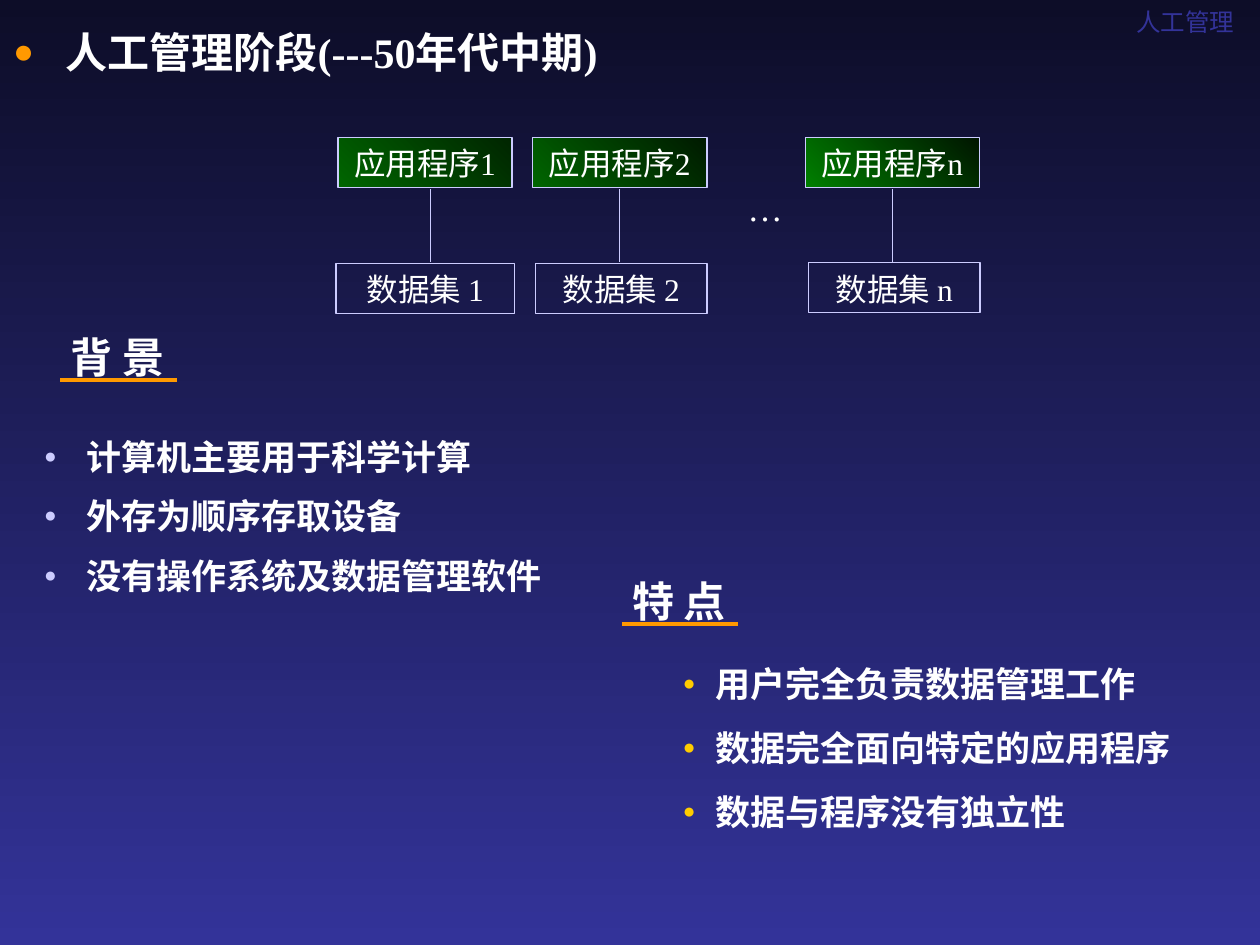
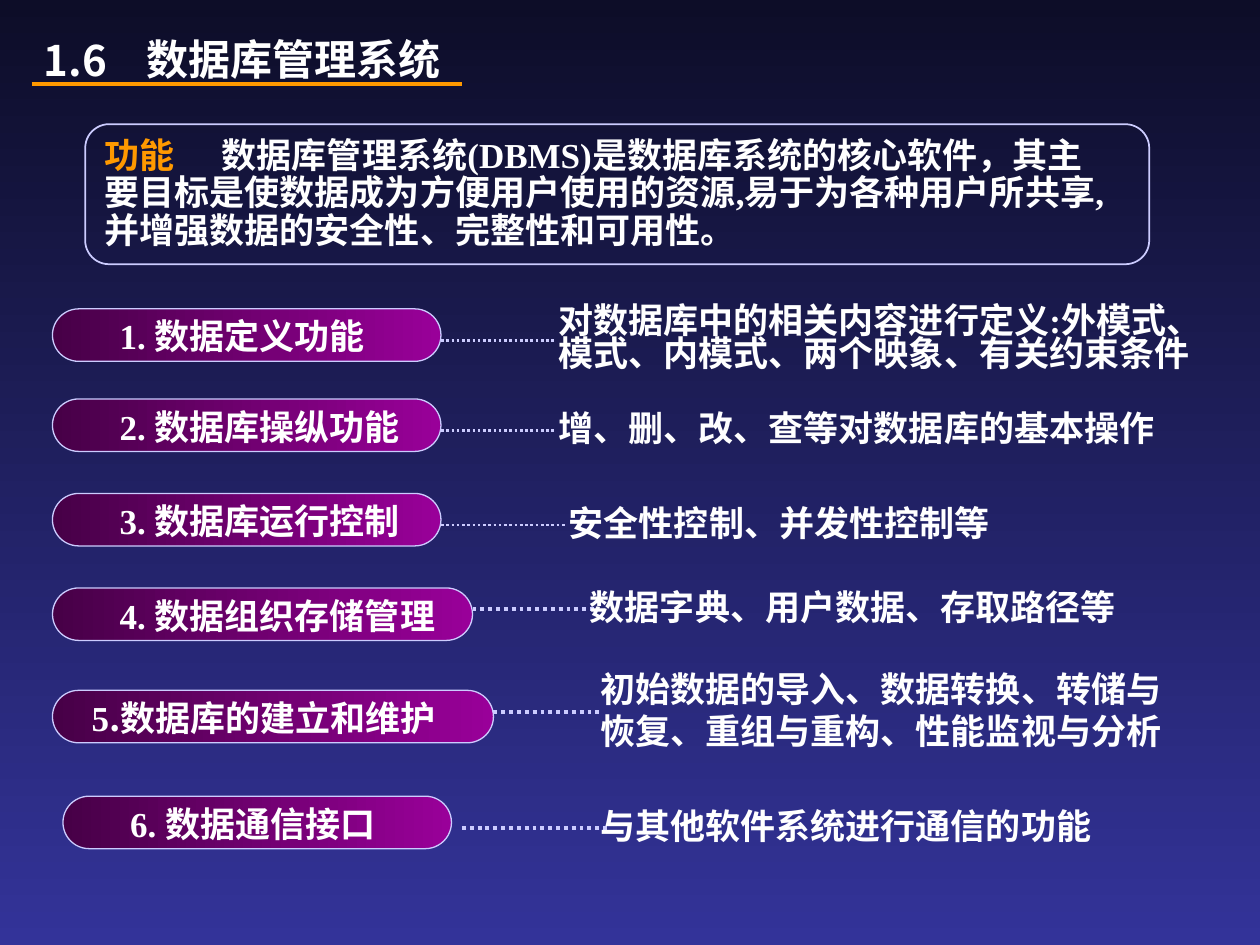
from lxml.etree import SubElement as Sub
from pptx import Presentation
from pptx.dml.color import RGBColor as RGB
from pptx.enum.dml import MSO_LINE as Dash
from pptx.enum.shapes import MSO_CONNECTOR as Conn, MSO_SHAPE as Kind
from pptx.enum.text import MSO_ANCHOR as Anchor, MSO_AUTO_SIZE as Auto, PP_ALIGN as Align
from pptx.oxml.ns import qn
from pptx.util import Pt

HUES = {
    "white": "FFFFFF", "orange": "FF9900", "gold": "FFCC00", "lilac": "CCCCFF",
    "night": "0D0D28", "blue": "333399", "plum": "470047", "purple": "990099",
}
SERIF, SANS, ARIAL = "Times New Roman", "Noto Sans CJK SC", "Arial"
LEAD = 1.25  # line height as a multiple of the text size


def hue(name):
    return RGB.from_string(HUES.get(name, name))


def blend(fill, first, last, angle):
    fill.gradient()
    fill.gradient_angle = angle
    for stop, name in zip(fill.gradient_stops, (first, last)):
        stop.color.rgb = hue(name)


def dot(para, color, percent, margin, hang):
    """Give a paragraph a round bullet with a hanging indent."""
    props = para._p.get_or_add_pPr()
    props.set("marL", str(Pt(margin)))
    props.set("indent", str(-Pt(hang)))
    Sub(Sub(props, qn("a:buClr")), qn("a:srgbClr"), val=HUES[color])
    Sub(props, qn("a:buSzPct"), val=str(percent * 1000))
    Sub(props, qn("a:buFont"), typeface=SERIF)
    Sub(props, qn("a:buChar"), char="●")


def write(frame, *paras, size=20, font=SERIF, color="white", bold=True,
          align=Align.LEFT, anchor=Anchor.TOP, wrap=True, lead=LEAD,
          gap=0, bullet=None, tab=None, inset=(7.2, 3.6, 7.2, 3.6)):
    """Fill a frame; a paragraph is a string or a list of (text, format) runs."""
    frame.auto_size = Auto.NONE
    frame.word_wrap = wrap
    frame.vertical_anchor = anchor
    (frame.margin_left, frame.margin_top,
     frame.margin_right, frame.margin_bottom) = map(Pt, inset)
    for i, runs in enumerate(paras):
        para = frame.add_paragraph() if i else frame.paragraphs[0]
        if bullet:
            dot(para, *bullet)
        if tab:
            tabs = Sub(para._p.get_or_add_pPr(), qn("a:tabLst"))
            Sub(tabs, qn("a:tab"), pos=str(Pt(tab)), algn="l")
        para.alignment = align
        para.line_spacing = Pt(size * lead)
        para.space_before = Pt(gap if i else 0)
        for text, own in [(runs, {})] if isinstance(runs, str) else runs:
            run = para.add_run()
            run.text = text
            run.font.size = Pt(size)
            run.font.bold = bold
            run.font.name = own.get("font", font)
            run.font.color.rgb = hue(own.get("color", color))
            Sub(run._r.get_or_add_rPr(), qn("a:ea"), typeface=SANS)


def place(holder, x, y, w, h):
    holder.left, holder.top, holder.width, holder.height = map(Pt, (x, y, w, h))
    return holder.text_frame


def label(slide, text, x, y, w, h, **fmt):
    box = slide.shapes.add_textbox(Pt(x), Pt(y), Pt(w), Pt(h))
    write(box.text_frame, text, **fmt)


def panel(slide, kind, x, y, w, h, *paras, grad=None, round=None, edge=0.75, **fmt):
    """Draw an outlined shape with text and an optional gradient."""
    shape = slide.shapes.add_shape(kind, Pt(x), Pt(y), Pt(w), Pt(h))
    shape.shadow.inherit = False
    if grad:
        blend(shape.fill, *grad)
    else:
        shape.fill.background()
    shape.line.color.rgb = hue("lilac")
    shape.line.width = Pt(edge)
    if round is not None:
        shape.adjustments[0] = round
    write(shape.text_frame, *paras, **fmt)


def rule(slide, x1, y1, x2, y2, color="lilac", width=0.75, dash=None):
    line = slide.shapes.add_connector(Conn.STRAIGHT, Pt(x1), Pt(y1), Pt(x2), Pt(y2))
    line.line.color.rgb = hue(color)
    line.line.width = Pt(width)
    if dash:
        line.line.dash_style = dash
    Sub(line._element.spPr, qn("a:effectLst"))


def head(slide, text, x, y):
    """Write a section heading with an orange underline."""
    label(slide, text, x, y, 100, 36, size=24)
    rule(slide, x + 1, y + 32.4, x + 67.5, y + 32.4, "orange", 2.25)


def pair(slide, mark, x, y, drop, dark, wide):
    """Draw a program box above its data set and join them."""
    fmt = dict(size=18, bold=False, align=Align.CENTER, anchor=Anchor.MIDDLE, wrap=False)
    panel(slide, Kind.RECTANGLE, x, 78.5, 99.5, 28.8, f"应用程序{mark}",
          grad=(*dark, 45), **fmt)
    left, width = wide
    panel(slide, Kind.RECTANGLE, left, y, width, 28.8, f"数据集 {mark}", **fmt)
    rule(slide, drop, 108, drop, 150)


def manual(deck):
    slide = deck.slides.add_slide(deck.slide_layouts[3])
    title, left, right = slide.placeholders
    write(place(title, 642, 0, 78, 24), "人工管理", size=14, color="blue",
          bold=False, anchor=Anchor.MIDDLE)
    label(slide, "人工管理阶段(---50年代中期)", 7.5, 14, 370, 30, size=24,
          bullet=("orange", 83, 30, 30), inset=(0, 0, 0, 0))

    write(place(left, 13.7, 244, 320, 102),
          "计算机主要用于科学计算", "外存为顺序存取设备", "没有操作系统及数据管理软件",
          font=ARIAL, gap=9, bullet=("lilac", 60, 28.4, 24))
    write(place(right, 348, 374, 360, 141),
          "用户完全负责数据管理工作", "数据完全面向特定的应用程序", "数据与程序没有独立性",
          font=ARIAL, gap=11.5, bullet=("gold", 60, 53.5, 18.5))
    head(slide, "背 景", 33.5, 185)
    head(slide, "特 点", 354.3, 324)

    pair(slide, "1", 193.2, 150.5, 246, ("006600", "002500"), (192, 102))
    pair(slide, "2", 304.5, 150.5, 354, ("006600", "001A00"), (306, 98))
    pair(slide, "n", 460.2, 150, 510, ("008000", "001500"), (462, 98))
    label(slide, "…", 420, 102, 34.5, 32, bold=False, align=Align.CENTER,
          anchor=Anchor.MIDDLE, wrap=False)


def system(deck):
    slide = deck.slides.add_slide(deck.slide_layouts[5])
    label(slide, "1.6", 18, 15, 52, 36, size=24, font=SANS)
    write(place(slide.shapes.title, 76.3, 15, 230, 36), "数据库管理系统",
          size=24, font=SANS, anchor=Anchor.MIDDLE)
    rule(slide, 18, 48, 264, 48, "orange", 2.25)

    panel(slide, Kind.ROUNDED_RECTANGLE, 48.7, 71, 608, 80,
          [("功能", {"color": "orange"}),
           ("\t数据库管理系统(DBMS)是数据库系统的核心软件，其主", {})],
          "要目标是使数据成为方便用户使用的资源,易于为各种用户所共享,",
          "并增强数据的安全性、完整性和可用性。",
          round=0.17, edge=1, lead=1.08, tab=67, inset=(7.2, 3.6, 0, 3.6))

    build = [("5", {}), (".数据库的建立和维护", {"font": SANS})]
    pills = [  # text, left, top, width, indent
        ("1. 数据定义功能", 30, 176.5, 222, 34),
        ("2. 数据库操纵功能", 30, 228, 222, 34),
        ("3. 数据库运行控制", 30, 282, 222, 34),
        ("4. 数据组织存储管理", 30, 336, 240, 34),
        (build, 30, 394.5, 252, 18),
        ("6. 数据通信接口", 36, 455, 222, 34),
    ]
    for text, x, y, w, indent in pills:
        panel(slide, Kind.ROUNDED_RECTANGLE, x, y, w, 30, text, round=0.5,
              grad=("plum", "purple", 0), anchor=Anchor.MIDDLE, wrap=False,
              inset=(indent, 0, 0, 0))

    links = [  # start, end, height, width
        (252, 318, 194.5, 1.5), (252, 318, 246, 1.5), (252, 324, 300, 1.5),
        (270, 342, 348, 2.25), (282, 342, 407, 2.25), (264, 348, 473, 2.25),
    ]
    for start, end, y, width in links:
        rule(slide, start, y, end, y, width=width, dash=Dash.ROUND_DOT)

    notes = [  # text, left, top, font
        ("对数据库中的相关内容进行定义:外模式、", 312, 166, SERIF),
        ("模式、内模式、两个映象、有关约束条件", 312, 185, SERIF),
        ("增、删、改、查等对数据库的基本操作", 312, 228, SERIF),
        ("安全性控制、并发性控制等", 318, 282, SERIF),
        ("数据字典、用户数据、存取路径等", 330, 330, SANS),
        ("初始数据的导入、数据转换、转储与", 336, 377, SERIF),
        ("恢复、重组与重构、性能监视与分析", 336, 401, SERIF),
        ("与其他软件系统进行通信的功能", 336, 455, SANS),
    ]
    for text, x, y, font in notes:
        label(slide, text, x, y, 720 - x, 32, font=font)


def main():
    deck = Presentation()
    deck.slide_width, deck.slide_height = Pt(720), Pt(540)
    blend(deck.slide_master.background.fill, "night", "blue", 270)
    manual(deck)
    system(deck)
    deck.save("out.pptx")


if __name__ == "__main__":
    main()
